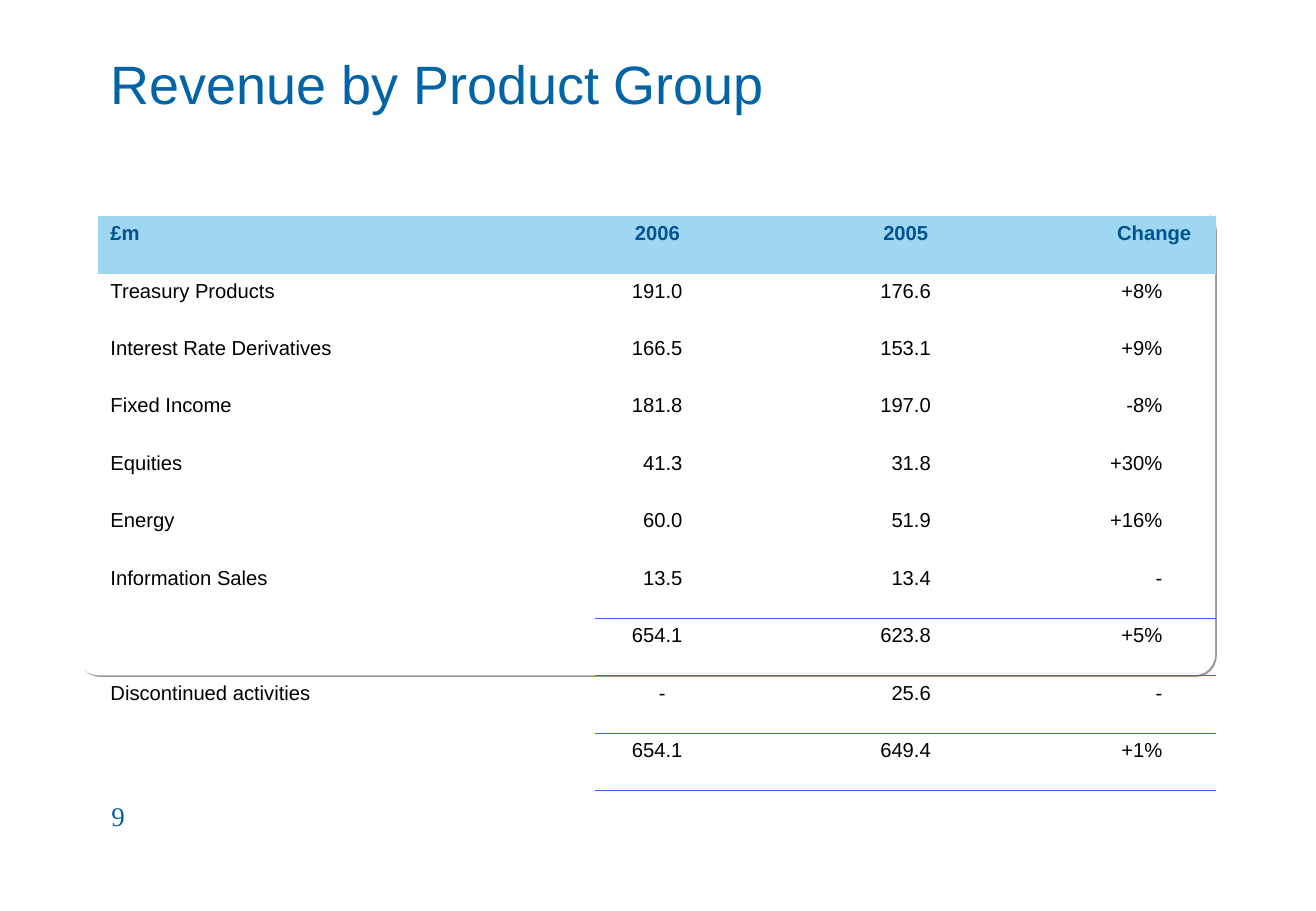
from lxml import etree
from pptx import Presentation
from pptx.dml.color import RGBColor as Rgb
from pptx.enum.shapes import MSO_SHAPE as Shape
from pptx.enum.text import MSO_ANCHOR as Anchor, PP_ALIGN as Align
from pptx.oxml import parse_xml
from pptx.oxml.ns import nsdecls, qn
from pptx.util import Inches, Pt

BLUE = Rgb(0x00, 0x64, 0xA6)
NAVY = Rgb(0x00, 0x55, 0x8E)
SKY = Rgb(0x9F, 0xD6, 0xF1)
RULE = Rgb(0x33, 0x66, 0xFF)
GREY = Rgb(0x98, 0x98, 0x98)
WHITE = Rgb(0xFF, 0xFF, 0xFF)
BLACK = Rgb(0, 0, 0)
NO_STYLE = "{2D5ABB26-0587-4C30-8999-92F81FD0307C}"
THIN, THICK = 0.45, 1.08

HEAD = ("£m", "2006", "2005", "Change")
ROWS = [
    ("Treasury Products", "191.0", "176.6", "+8%"),
    ("Interest Rate Derivatives", "166.5", "153.1", "+9%"),
    ("Fixed Income", "181.8", "197.0", "-8%"),
    ("Equities", "41.3", "31.8", "+30%"),
    ("Energy", "60.0", "51.9", "+16%"),
    ("Information Sales", "13.5", "13.4", "-"),
    ("", "654.1", "623.8", "+5%"),
    ("Discontinued activities", "-", "25.6", "-"),
    ("", "654.1", "649.4", "+1%"),
]
SLOTS = (0, 4, 6, 8)
COLS = 9
RULES = {6: [("B", THIN)], 7: [("T", THIN)], 8: [("B", THIN)],
         9: [("T", THIN), ("B", THICK)]}


def style(para, size, color, face="Arial", bold=False):
    """Format every run of a paragraph."""
    for run in para.runs:
        font = run.font
        font.size, font.name, font.bold = Pt(size), face, bold
        font.color.rgb = color


def add_text(slide, box, text, size, face, anchor):
    """Add one line of blue text in the given box."""
    frame = slide.shapes.add_textbox(*map(Inches, box)).text_frame
    frame.word_wrap = True
    frame.vertical_anchor = anchor
    frame.text = text
    style(frame.paragraphs[0], size, BLUE, face)


def add_panel(slide, box):
    """Add the white rounded panel with its hard grey shadow."""
    panel = slide.shapes.add_shape(Shape.ROUNDED_RECTANGLE, *map(Inches, box))
    panel.adjustments[0] = 0.045
    panel.fill.solid()
    panel.fill.fore_color.rgb = WHITE
    panel.line.fill.background()
    panel.shadow.inherit = False
    effects = panel._element.spPr.find(qn("a:effectLst"))
    effects.append(parse_xml(
        f'<a:outerShdw {nsdecls("a")} blurRad="0" dist="{Pt(1.4)}" '
        f'dir="2700000" algn="ctr" rotWithShape="0">'
        f'<a:srgbClr val="{GREY}"/></a:outerShdw>'))


def add_rule(cell, side, width):
    """Draw a cell border on one side, ahead of the cell's fill."""
    props = cell._tc.get_or_add_tcPr()
    line = parse_xml(
        f'<a:ln{side} {nsdecls("a")} w="{Pt(width)}"><a:solidFill>'
        f'<a:srgbClr val="{RULE}"/></a:solidFill></a:ln{side}>')
    props.insert(len(props) - 1, line)


def set_tab(para):
    """Give a paragraph the decimal tab that lines up the figures."""
    tabs = etree.SubElement(para._p.get_or_add_pPr(), qn("a:tabLst"))
    etree.SubElement(tabs, qn("a:tab"), pos=str(Inches(0.48)), algn="dec")


def fill_row(table, row, texts):
    """Write one row: a label followed by its figures."""
    head = row == 0
    for col in range(COLS):
        cell = table.cell(row, col)
        if head:
            cell.fill.solid()
            cell.fill.fore_color.rgb = SKY
        else:
            cell.fill.background()
        if col >= SLOTS[1]:
            for side, width in RULES.get(row, ()):
                add_rule(cell, side, width)
    if texts[0] and not head:
        table.cell(row, 0).merge(table.cell(row, 2))
    for col, text in zip(SLOTS, texts):
        para = table.cell(row, col).text_frame.paragraphs[0]
        figure = col > 0
        para.text = "\t" + text if figure and not head else text
        if figure and head:
            para.alignment = Align.CENTER
        elif figure:
            set_tab(para)
        style(para, 12, NAVY if head else BLACK, bold=head)


def add_revenue(slide, box):
    """Add the revenue table with equal rows and columns."""
    lines = [HEAD, *ROWS]
    table = slide.shapes.add_table(len(lines), COLS, *map(Inches, box)).table
    table.first_row = table.horz_banding = False
    table._tbl.tblPr.find(qn("a:tableStyleId")).text = NO_STYLE
    for row, texts in enumerate(lines):
        fill_row(table, row, texts)


def main():
    """Build and save the slide."""
    deck = Presentation()
    deck.slide_width, deck.slide_height = Inches(10.84), Inches(7.5)
    slide = deck.slides.add_slide(deck.slide_layouts[6])
    add_panel(slide, (0.64, 1.71, 9.37, 3.85))
    add_text(slide, (0.81, 0.06, 9.21, 1.25), "Revenue by Product Group",
             32, "Arial", Anchor.MIDDLE)
    add_revenue(slide, (0.81, 1.78, 9.21, 4.73))
    add_text(slide, (0.82, 6.53, 2.26, 0.5), "9",
             16, "Times New Roman", Anchor.TOP)
    deck.save("out.pptx")


if __name__ == "__main__":
    main()
